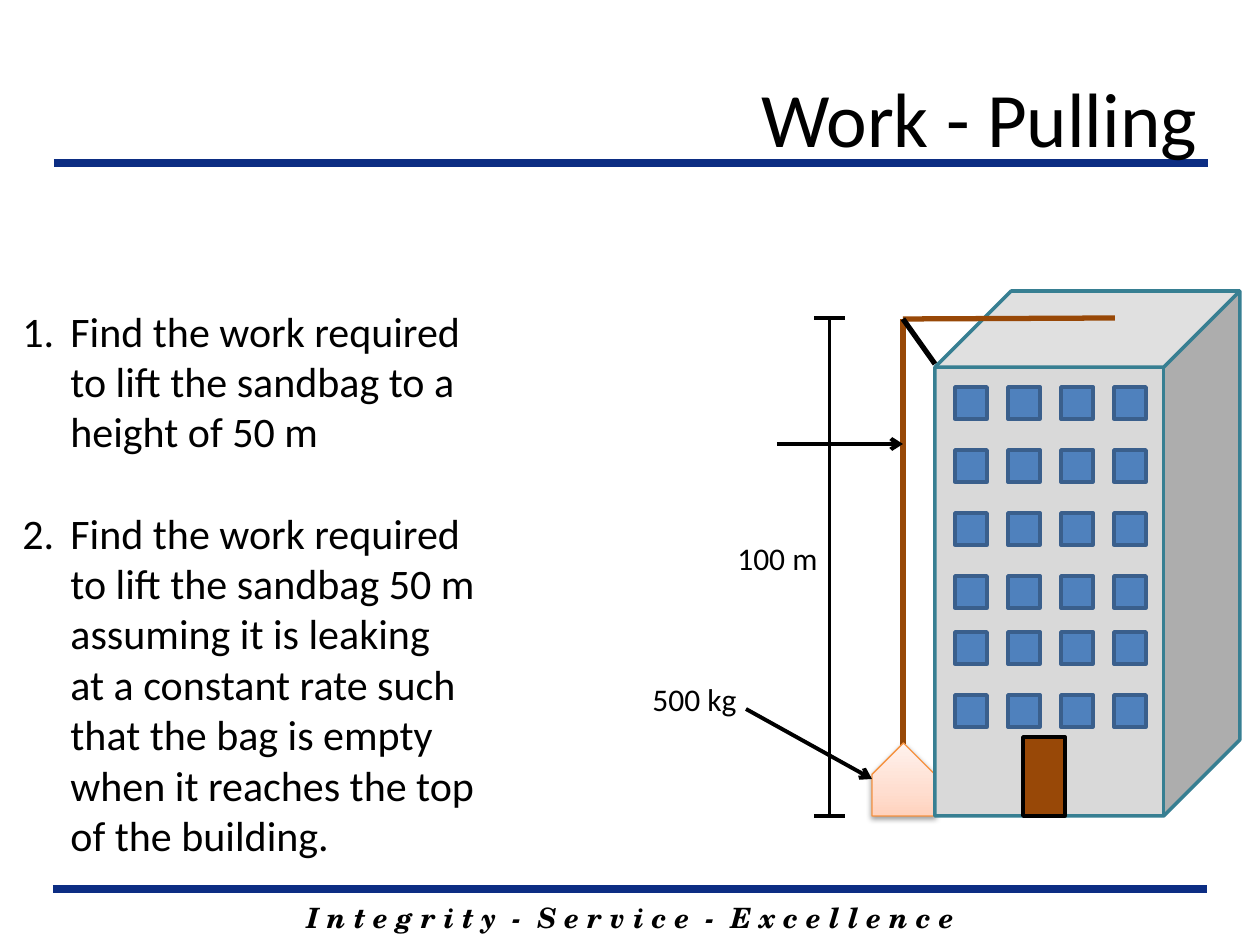
from copy import deepcopy

from lxml.etree import SubElement
from pptx import Presentation
from pptx.dml.color import RGBColor
from pptx.enum.shapes import MSO_CONNECTOR, MSO_SHAPE
from pptx.enum.text import MSO_ANCHOR, PP_ALIGN
from pptx.oxml.ns import qn
from pptx.util import Emu, Pt

EMU_PER_PX = 914400 / 126
BLACK, NAVY, BROWN = "000000", "0C2D83", "984807"
QUESTIONS = [
    ["Find the work required", "to lift the sandbag to a", "height of 50 m"],
    ["Find the work required", "to lift the sandbag 50 m", "assuming it is leaking",
     "at a constant rate such", "that the bag is empty",
     "when it reaches the top", "of the building."],
]


def px(length):
    return Emu(round(length * EMU_PER_PX))


def color(value):
    return RGBColor.from_string(value)


def set_font(paragraph, **values):
    paragraph.font.color.rgb = color(BLACK)
    for name, value in ({"name": "Calibri"} | values).items():
        setattr(paragraph.font, name, value)


def add_text(slide, box, text, size, alignment=PP_ALIGN.LEFT, **font_values):
    """Add a one-paragraph text box and return its text frame."""
    frame = slide.shapes.add_textbox(*map(px, box)).text_frame
    frame.word_wrap = True
    paragraph = frame.paragraphs[0]
    paragraph.text = text
    paragraph.alignment = alignment
    set_font(paragraph, size=Pt(size), **font_values)
    return frame


def add_line(slide, start, end, line_color, width, arrow=False):
    connector = slide.shapes.add_connector(
        MSO_CONNECTOR.STRAIGHT, *map(px, (*start, *end)))
    connector.line.color.rgb = color(line_color)
    connector.line.width = Pt(width)
    if arrow:
        SubElement(connector.line._get_or_add_ln(), qn("a:tailEnd"), type="arrow")
    SubElement(connector._element.spPr, qn("a:effectLst"))


def add_block(slide, kind, box, fill, line_color, line_width=2):
    """Add a preset shape; a fill of None leaves the fill to the caller."""
    shape = slide.shapes.add_shape(kind, *map(px, box))
    shape.shadow.inherit = False
    if fill:
        shape.fill.solid()
        shape.fill.fore_color.rgb = color(fill)
    shape.line.color.rgb = color(line_color)
    shape.line.width = Pt(line_width)
    return shape


def add_header(slide, left, top, width, height):
    add_line(slide, (left - 173, top + 125), (left + 981, top + 125), NAVY, 4.5)
    frame = add_text(slide, (left, top, width, height), "Work - Pulling", 44,
                     PP_ALIGN.RIGHT)
    frame.vertical_anchor = MSO_ANCHOR.MIDDLE


def add_footer(slide, left, top, width, height):
    add_line(slide, (left, top), (left + width, top), NAVY, 4.5)
    add_text(slide, (left + 126, top + 5, width - 251, height - 5),
             "I n t e g r i t y  -  S e r v i c e  -  E x c e l l e n c e", 16,
             PP_ALIGN.CENTER, name="TeX Gyre Schola", bold=True, italic=True)


def add_questions(slide, box):
    """Add the numbered questions, each line a paragraph on a hanging indent."""
    frame = slide.shapes.add_textbox(*map(px, box)).text_frame
    frame.word_wrap = True
    indent = px(48)
    paragraph = None
    for number, lines in enumerate(QUESTIONS, 1):
        for index, line in enumerate(lines):
            paragraph = frame.add_paragraph() if paragraph else frame.paragraphs[0]
            paragraph.text = line
            properties = paragraph._p.get_or_add_pPr()
            properties.set("marL", str(indent))
            if index == 0:
                properties.set("indent", str(-indent))
                if number > 1:
                    paragraph.space_before = Pt(29)
                SubElement(properties, qn("a:buFont"), typeface="+mj-lt")
                SubElement(properties, qn("a:buAutoNum"), type="arabicPeriod",
                           startAt=str(number))
            set_font(paragraph, size=Pt(24))


def add_sandbag(slide, left, top, width, height):
    bag = add_block(slide, MSO_SHAPE.SNIP_2_SAME_RECTANGLE,
                    (left, top, width, height), None, "F69240", 0.75)
    bag.adjustments[0], bag.adjustments[1] = 0.5, 0
    bag.fill.gradient()
    bag.fill.gradient_angle = 90
    properties = bag._element.spPr
    stop_list = properties.find(".//" + qn("a:gsLst"))
    stop_list.insert(1, deepcopy(stop_list[0]))
    stops = [(0, "FFD2BD"), (0.35, "FFDED0"), (1, "FFF2ED")]
    for stop, (position, stop_color) in zip(bag.fill.gradient_stops, stops):
        stop.position = position
        stop.color.rgb = color(stop_color)
    shadow = SubElement(properties.find(qn("a:effectLst")), qn("a:outerShdw"),
                        blurRad="40000", dist="20000", dir="5400000", rotWithShape="0")
    shade = SubElement(shadow, qn("a:srgbClr"), val=BLACK)
    SubElement(shade, qn("a:alpha"), val="38000")


def add_building(slide, left, top, width, height):
    add_block(slide, MSO_SHAPE.CUBE, (left, top, width, height), "D9D9D9", "377F92")
    upper_floors = [96 + 63 * floor for floor in range(4)]
    lower_floors = [341 + 63 * floor for floor in range(2)]
    for row in upper_floors + lower_floors:
        for column in range(4):
            add_block(slide, MSO_SHAPE.RECTANGLE,
                      (left + 20 + 53 * column, top + row, 32, 32), "4F81BD", "3A5F8C")
    add_block(slide, MSO_SHAPE.RECTANGLE, (left + 88, top + 446, 42, 79), BROWN, BLACK)


def add_height_mark(slide, left, top, width, height):
    middle, bottom = left + width / 2, top + height
    add_line(slide, (middle, top), (middle, bottom), BLACK, 2.25)
    for level in (top, bottom):
        add_line(slide, (left + width, level), (left, level), BLACK, 2.25)
    add_text(slide, (left - 89, top + 215, 126, 50), "100 m", 18)


def add_hoist_scene(slide, left, top, width, height):
    """Add the building with its rope, sandbag, height mark and labels."""
    pulley = (left + 263, top + 28)
    add_line(slide, (pulley[0], top + 457), pulley, BROWN, 3)
    add_sandbag(slide, left + 232, top + 452, 63, 73)
    add_building(slide, left + 295, top, width - 295, height)
    add_line(slide, (left + 475, top + 27), pulley, BROWN, 3)
    add_line(slide, pulley, (left + 295, top + 73), BLACK, 3)
    add_height_mark(slide, left + 174, top + 27, 31, height - 27)
    add_line(slide, (left + 106, top + 418), (left + 232, top + 488), BLACK, 2.25, True)
    add_text(slide, (left, top + 383, 126, 50), "500 kg", 18)
    add_line(slide, (left + 137, top + 153), (pulley[0], top + 153), BLACK, 2.25, True)


def main():
    presentation = Presentation()
    presentation.slide_width, presentation.slide_height = px(1260), px(945)
    slide = presentation.slides.add_slide(presentation.slide_layouts[6])
    add_footer(slide, 53, 889, 1154, 52)
    add_header(slide, 227, 38, 983, 158)
    add_hoist_scene(slide, 640, 291, 600, 525)
    add_questions(slide, (10, 299, 662, 572))
    presentation.save("out.pptx")


if __name__ == "__main__":
    main()
